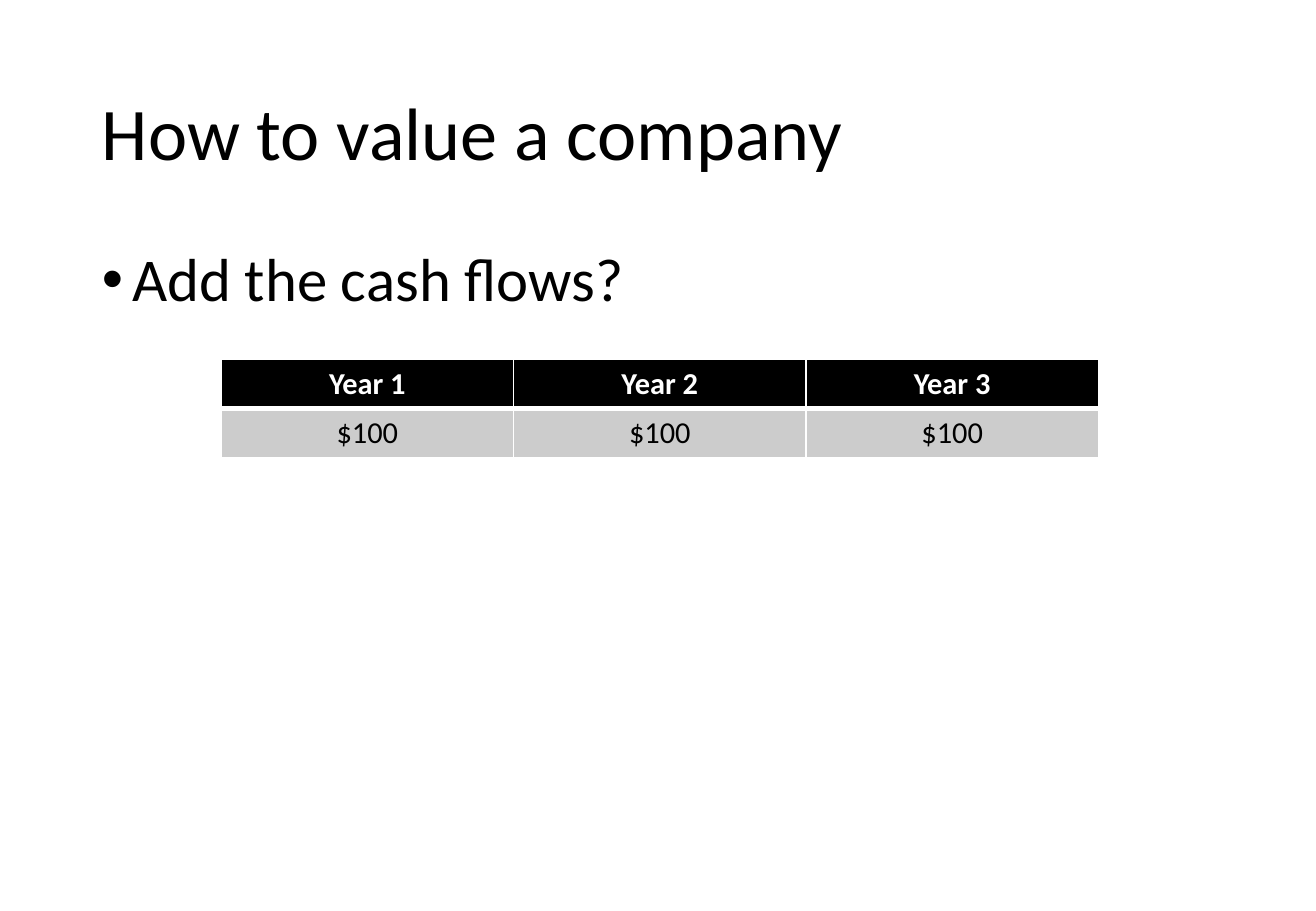
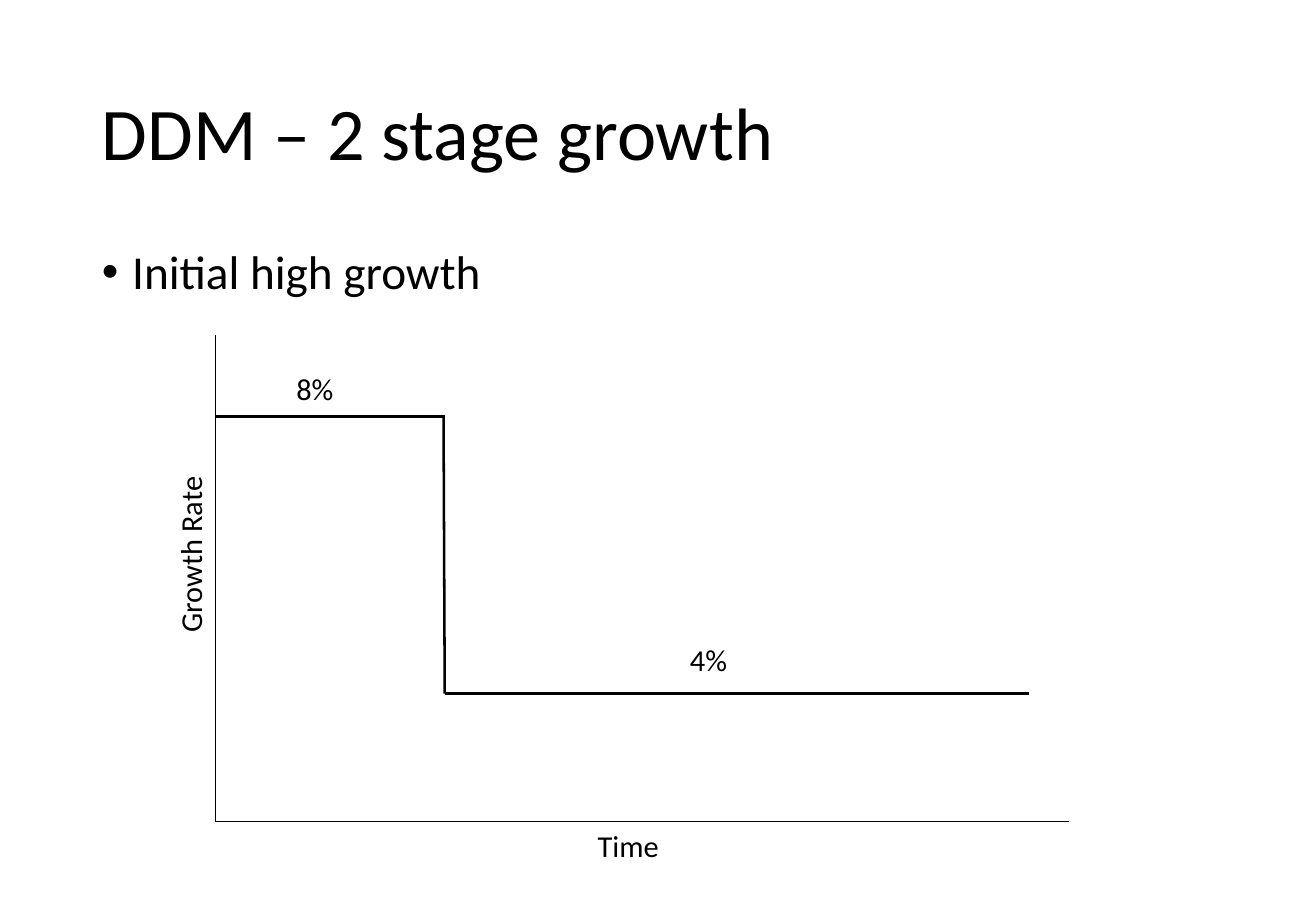
"""Build two slides on valuing a company: a cash flow table and a two-stage growth plot."""
from lxml.etree import SubElement
from pptx import Presentation
from pptx.dml.color import RGBColor
from pptx.enum.shapes import MSO_CONNECTOR
from pptx.enum.text import MSO_ANCHOR, PP_ALIGN
from pptx.oxml.ns import qn
from pptx.util import Inches, Pt

HUES = {"ink": "000000", "paper": "FFFFFF", "cell": "CCCCCC"}
FONT = "Calibri"


def style(para, size, hue="ink", bold=False):
    para.font.name = FONT
    para.font.size = Pt(size)
    para.font.bold = bold
    para.font.color.rgb = RGBColor.from_string(HUES[hue])


def write(slide, text, area, size, turn=0, lead=None, bullet=False, anchor=MSO_ANCHOR.TOP):
    box = slide.shapes.add_textbox(*[Inches(n) for n in area])
    box.rotation = turn
    frame = box.text_frame
    frame.word_wrap = True
    frame.vertical_anchor = anchor
    para = frame.paragraphs[0]
    para.text = text
    para.line_spacing = lead
    if bullet:
        para.space_before = Pt(10)
        props = para._p.get_or_add_pPr()
        props.set("marL", str(Inches(0.25)))
        props.set("indent", str(-Inches(0.25)))
        SubElement(props, qn("a:buFont"), typeface="Arial")
        SubElement(props, qn("a:buChar"), char="•")
    style(para, size)


deck = Presentation()
deck.slide_width, deck.slide_height = Inches(10.83), Inches(7.5)

slides = []
for title, point, size in [
    ("How to value a company", "Add the cash flows?", 36),
    ("DDM – 2 stage growth", "Initial high growth", 28),
]:
    slide = deck.slides.add_slide(deck.slide_layouts[6])
    write(slide, title, (0.74, 0.4, 9.34, 1.45), 44, lead=0.9, anchor=MSO_ANCHOR.MIDDLE)
    write(slide, point, (0.74, 2, 9.34, 4.76), size, lead=0.9, bullet=True)
    slides.append(slide)
value, growth = slides

rows = [("Year 1", "Year 2", "Year 3"), ("$100", "$100", "$100")]
looks = [
    {"fill": "ink", "text": "paper", "bold": True, "edges": {"L": 1, "R": 1, "T": 1, "B": 3}},
    {"fill": "cell", "text": "ink", "bold": False, "edges": {"L": 1, "R": 1, "T": 3, "B": 1}},
]
table = value.shapes.add_table(
    2, 3, Inches(1.82), Inches(2.96), Inches(7.22), Inches(0.81)
).table
for r, (row, look) in enumerate(zip(rows, looks)):
    for c, text in enumerate(row):
        cell = table.cell(r, c)
        props = cell._tc.get_or_add_tcPr()
        for side, width in look["edges"].items():
            edge = SubElement(props, qn(f"a:ln{side}"), w=str(Pt(width)))
            fill = SubElement(edge, qn("a:solidFill"))
            SubElement(fill, qn("a:srgbClr"), val=HUES["paper"])
        cell.fill.solid()
        cell.fill.fore_color.rgb = RGBColor.from_string(HUES[look["fill"]])
        para = cell.text_frame.paragraphs[0]
        para.text = text
        para.alignment = PP_ALIGN.CENTER
        style(para, 18, look["text"], look["bold"])

left, base, drop = 1.77, 6.76, 3.66
high, low = 3.43, 5.71
for x1, y1, x2, y2, width in [
    (left, 2.76, left, base, 0.5),
    (left, base, 8.8, base, 0.5),
    (left, high, drop, high, 1.5),
    (drop - 0.01, high, drop, low, 1.5),
    (drop, low, 8.47, low, 1.5),
]:
    line = growth.shapes.add_connector(
        MSO_CONNECTOR.STRAIGHT, Inches(x1), Inches(y1), Inches(x2), Inches(y2)
    )
    line.line.width = Pt(width)
    line.line.color.rgb = RGBColor.from_string(HUES["ink"])
    SubElement(line._element.spPr, qn("a:effectLst"))

for text, x, y, width, turn in [
    ("Time", 4.82, base, 0.76, 0),
    ("Growth Rate", 0.8, 4.34, 1.53, 270),
    ("4%", 5.58, 5.23, 0.74, 0),
    ("8%", 2.34, 3, 0.74, 0),
]:
    write(growth, text, (x, y, width, 0.4), 18, turn)

deck.save("out.pptx")
